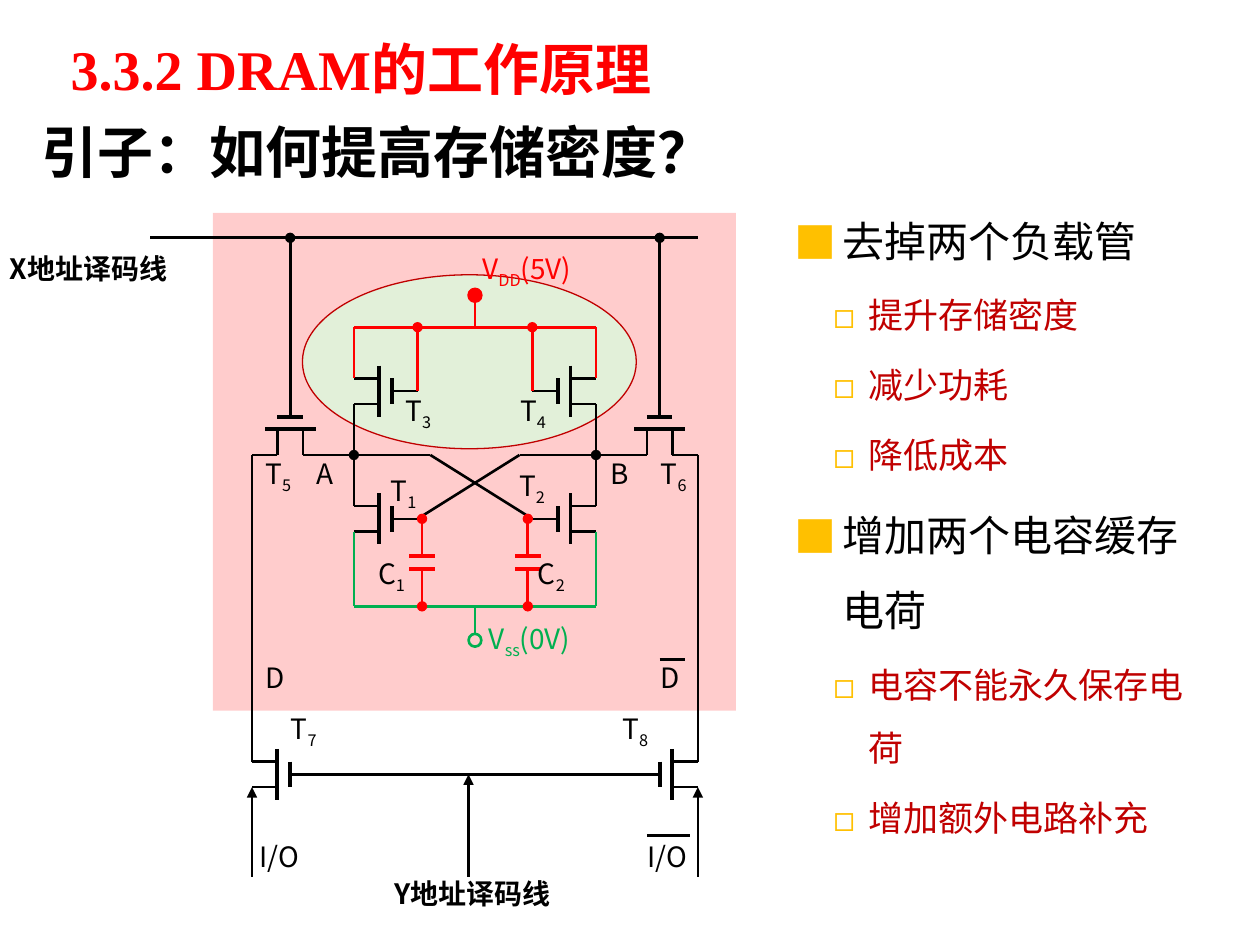
from dataclasses import dataclass

from lxml import etree
from pptx import Presentation
from pptx.dml.color import RGBColor
from pptx.enum.shapes import MSO_CONNECTOR, MSO_SHAPE
from pptx.enum.text import MSO_ANCHOR, MSO_AUTO_SIZE, PP_ALIGN
from pptx.oxml.ns import qn
from pptx.util import Pt

STRAIGHT = MSO_CONNECTOR.STRAIGHT
RECT, OVAL = MSO_SHAPE.RECTANGLE, MSO_SHAPE.OVAL
TOP, MIDDLE = MSO_ANCHOR.TOP, MSO_ANCHOR.MIDDLE
LEFT, JUSTIFY = PP_ALIGN.LEFT, PP_ALIGN.JUSTIFY
NO_FIT = MSO_AUTO_SIZE.NONE


@dataclass(frozen=True)
class Theme:
    black: str = "000000"
    white: str = "FFFFFF"
    red: str = "FF0000"
    dark_red: str = "C00000"
    green: str = "00B050"
    pale_green: str = "E2F0D9"
    gold: str = "FFC000"
    sans: str = "Noto Sans CJK SC"
    serif: str = "Times New Roman"
    heading: int = 32
    point: int = 24
    subpoint: int = 20
    label: int = 16
    thin: float = 1.5
    thick: float = 2.25


T = Theme()


@dataclass(frozen=True)
class Wire:
    """A line between two grid nodes (column, row)."""
    x1: float
    y1: float
    x2: float
    y2: float
    color: str = T.black
    width: float = T.thin
    head: str = ""
    tail: str = ""


@dataclass(frozen=True)
class Label:
    """A diagram label in points, with an optional subscript and ending."""
    x: float
    y: float
    text: str
    sub: str = ""
    end: str = ""
    w: float = 22
    color: str = T.black
    bold: bool = False


# Circuit grid: column 0 is the left bit line, row 0 the line through A and B
X0, Y0, DX, DY = 144, 260, 7.28, 7.3
LAST_COL = 35
VSS_ROW = 11.85


def gx(col: float) -> int:
    return Pt(X0 + col * DX)


def gy(row: float) -> int:
    return Pt(Y0 + row * DY)


def rgb(color: str) -> RGBColor:
    return RGBColor.from_string(color)


def style_run(r, size: float, color: str, bold: bool = False, face: str = T.sans) -> None:
    r.font.size, r.font.bold, r.font.name = Pt(size), bold, face
    r.font.color.rgb = rgb(color)
    ea = etree.Element(qn("a:ea"), typeface=T.sans)
    r.font._element.find(qn("a:latin")).addnext(ea)


def draw_wire(s, w: Wire) -> None:
    line = s.shapes.add_connector(STRAIGHT, gx(w.x1), gy(w.y1), gx(w.x2), gy(w.y2))
    line.line.color.rgb, line.line.width = rgb(w.color), Pt(w.width)
    etree.SubElement(line._element.spPr, qn("a:effectLst"))
    ln = line.line._get_or_add_ln()
    for tag, kind in (("a:headEnd", w.head), ("a:tailEnd", w.tail)):
        if kind:
            etree.SubElement(ln, qn(tag), type=kind)


def mirrored(w: Wire) -> Wire:
    return Wire(LAST_COL - w.x1, w.y1, LAST_COL - w.x2, w.y2, w.color, w.width, w.head, w.tail)


def transistor(col: float, row: float) -> list[Wire]:
    """Upright transistor with its leads starting at col, centred on row."""
    return [Wire(col + 2, row - 2, col + 2, row + 2, width=T.thick),
            Wire(col + 3, row - 1, col + 3, row + 1, width=T.thick),
            Wire(col, row - 1, col + 2, row - 1),
            Wire(col, row + 1, col + 2, row + 1),
            Wire(col + 3, row, col + 5, row)]


def draw_shape(s, kind, x, y, w, h, fill: str = "", line: str = "", width: float = T.thin):
    sp = s.shapes.add_shape(kind, x, y, w, h)
    sp.shadow.inherit = False
    if fill:
        sp.fill.solid()
        sp.fill.fore_color.rgb = rgb(fill)
    else:
        sp.fill.background()
    if line:
        sp.line.color.rgb, sp.line.width = rgb(line), Pt(width)
    else:
        sp.line.fill.background()
    return sp


def draw_label(s, lab: Label) -> None:
    tf = s.shapes.add_textbox(Pt(lab.x), Pt(lab.y), Pt(lab.w), Pt(29)).text_frame
    tf.word_wrap = True
    tf.margin_left = tf.margin_right = tf.margin_top = tf.margin_bottom = Pt(0.72)
    p = tf.paragraphs[0]
    p.alignment = JUSTIFY
    for text, base in ((lab.text, 0), (lab.sub, -25000), (lab.end, 0)):
        if text:
            r = p.add_run()
            r.text = text
            style_run(r, T.label, lab.color, lab.bold)
            if base:
                r.font._element.set("baseline", str(base))


def set_heading(sp, x: float, y: float, w: float, text: str, color: str) -> None:
    sp.left, sp.top, sp.width, sp.height = Pt(x), Pt(y), Pt(w), Pt(46)
    tf = sp.text_frame
    tf.text, tf.word_wrap, tf.vertical_anchor, tf.auto_size = text, True, MIDDLE, NO_FIT
    p = tf.paragraphs[0]
    p.alignment = LEFT
    style_run(p.runs[0], T.heading, color, True, T.serif)


def set_list(sp, items: list[tuple[int, str]]) -> None:
    sp.left, sp.top, sp.width, sp.height = Pt(447), Pt(105), Pt(256.3), Pt(373.7)
    sp.fill.solid()
    sp.fill.fore_color.rgb = rgb(T.white)
    tf = sp.text_frame
    tf.text = "\n".join(text for _, text in items)
    tf.word_wrap, tf.vertical_anchor, tf.auto_size = True, TOP, NO_FIT
    looks = ((27, 27, "■", T.point, T.black), (42, 20, "◻", T.subpoint, T.dark_red))
    for i, (p, (level, _)) in enumerate(zip(tf.paragraphs, items)):
        indent, hang, bullet, size, color = looks[level]
        p.level, p.alignment, p.line_spacing = level, LEFT, 1.5
        p.space_before = Pt(size * 0.2 if i else 0)
        pPr = p._p.get_or_add_pPr()
        pPr.set("marL", str(Pt(indent)))
        pPr.set("indent", str(-Pt(hang)))
        clr = etree.SubElement(pPr, qn("a:buClr"))
        etree.SubElement(clr, qn("a:srgbClr"), val=T.gold)
        etree.SubElement(pPr, qn("a:buFont"), typeface=T.sans)
        etree.SubElement(pPr, qn("a:buChar"), char=bullet)
        style_run(p.runs[0], size, color)


# Left half of the cell; the right half is its mirror image
HALF = [
    *transistor(8, -5), *transistor(8, 5), *transistor(0, 25),
    # Access transistor, lying flat
    Wire(5, -2, 1, -2, width=T.thick), Wire(4, -3, 2, -3, width=T.thick),
    Wire(4, 0, 4, -2), Wire(2, 0, 2, -2), Wire(3, -3, 3, -5),
    # Word line drop, bit line, storage node and cross coupling
    Wire(3, -17, 3, -5, head="oval"),
    Wire(2, 0, 0, 0), Wire(0, 0, 0, 24),
    Wire(4, 0, 8, 0, tail="oval"), Wire(8, -4, 8, 0), Wire(8, 0, 8, 4),
    Wire(8, 0, 14, 0), Wire(14, 0, 22, 5),
    Wire(0, 26, 0, 33, head="triangle"),
    # Supply and ground branches
    Wire(8, -10, 8, -6, T.red), Wire(13, -10, 13, -5, T.red, head="oval"),
    Wire(8, 6, 8, VSS_ROW, T.green),
]
CAPACITOR = [
    Wire(12.35, 7.9, 14.35, 7.9, T.red, T.thick), Wire(12.35, 8.9, 14.35, 8.9, T.red, T.thick),
    Wire(13.35, 5, 13.35, 7.9, T.red, head="oval"),
    Wire(13.35, 8.9, 13.35, VSS_ROW, T.red, tail="oval"),
]
# Lines shared by both halves, then the overlines
SHARED = [
    Wire(-8, -17, 35, -17), Wire(8, -10, 27, -10, T.red), Wire(17.5, -10, 17.5, -12, T.red),
    Wire(8, VSS_ROW, 27, VSS_ROW, T.green), Wire(17.5, 12, 17.5, 14, T.green),
    Wire(5, 25, 30, 25), Wire(17, 25, 17, 33, head="triangle"),
    Wire(32, 16, 34, 16), Wire(31, 29.8, 34.35, 29.8),
]
LABELS = [
    Label(222.5, 270, "T", "1"), Label(296, 267, "T", "2"),
    Label(231, 224, "T", "3"), Label(296.6, 224, "T", "4"),
    Label(151, 260, "T", "5"), Label(377, 260, "T", "6"),
    Label(165.6, 406, "T", "7"), Label(355, 406, "T", "8"),
    Label(180, 260, "A"), Label(348, 260, "B"),
    Label(151, 376.6, "D"), Label(377, 376.6, "D"),
    Label(147.6, 479, "I/O", w=33), Label(369.4, 479, "I/O", w=37),
    Label(215.3, 317.5, "C", "1", w=29), Label(306.7, 317.5, "C", "2", w=29),
    Label(275, 143.3, "V", "DD", "(5V)", 69, T.red),
    Label(278.6, 354.2, "V", "ss", "(0V)", 69, T.green),
    Label(5, 143.3, "X地址译码线", w=117, bold=True),
    Label(224.6, 500.4, "Y地址译码线", w=117, bold=True),
]
POINTS = [
    (0, "去掉两个负载管"), (1, "提升存储密度"), (1, "减少功耗"), (1, "降低成本"),
    (0, "增加两个电容缓存电荷"), (1, "电容不能永久保存电荷"), (1, "增加额外电路补充"),
]


def main() -> None:
    prs = Presentation()
    prs.slide_width, prs.slide_height = Pt(720), Pt(540)
    s = prs.slides.add_slide(prs.slide_layouts[1])

    # Headings and list
    set_heading(s.shapes.title, 33.2, 15.8, 516, "3.3.2 DRAM的工作原理", T.red)
    set_heading(s.shapes.add_textbox(0, 0, 0, 0), 16.6, 63.4, 426, "引子：如何提高存储密度？", T.black)
    set_list(s.placeholders[1], POINTS)

    # Cell area and load transistor highlight
    area = draw_shape(s, RECT, Pt(121.7), Pt(121.7), Pt(298.8), Pt(284.4), T.red)
    color = area.fill._xPr.find(qn("a:solidFill"))[0]
    etree.SubElement(color, qn("a:alpha"), val="20000")
    draw_shape(s, OVAL, Pt(172.8), Pt(157), Pt(190.8), Pt(99.4), T.pale_green, T.dark_red, 0.75)

    # Circuit
    for w in SHARED:
        draw_wire(s, w)
    for w in HALF + CAPACITOR:
        draw_wire(s, w)
        draw_wire(s, mirrored(w))
    draw_shape(s, OVAL, gx(17), gy(-13), Pt(DX), Pt(DY), T.red, T.red)
    draw_shape(s, OVAL, gx(17), gy(14), Pt(DX), Pt(DY), "", T.green)

    for lab in LABELS:
        draw_label(s, lab)
    prs.save("out.pptx")


if __name__ == "__main__":
    main()
